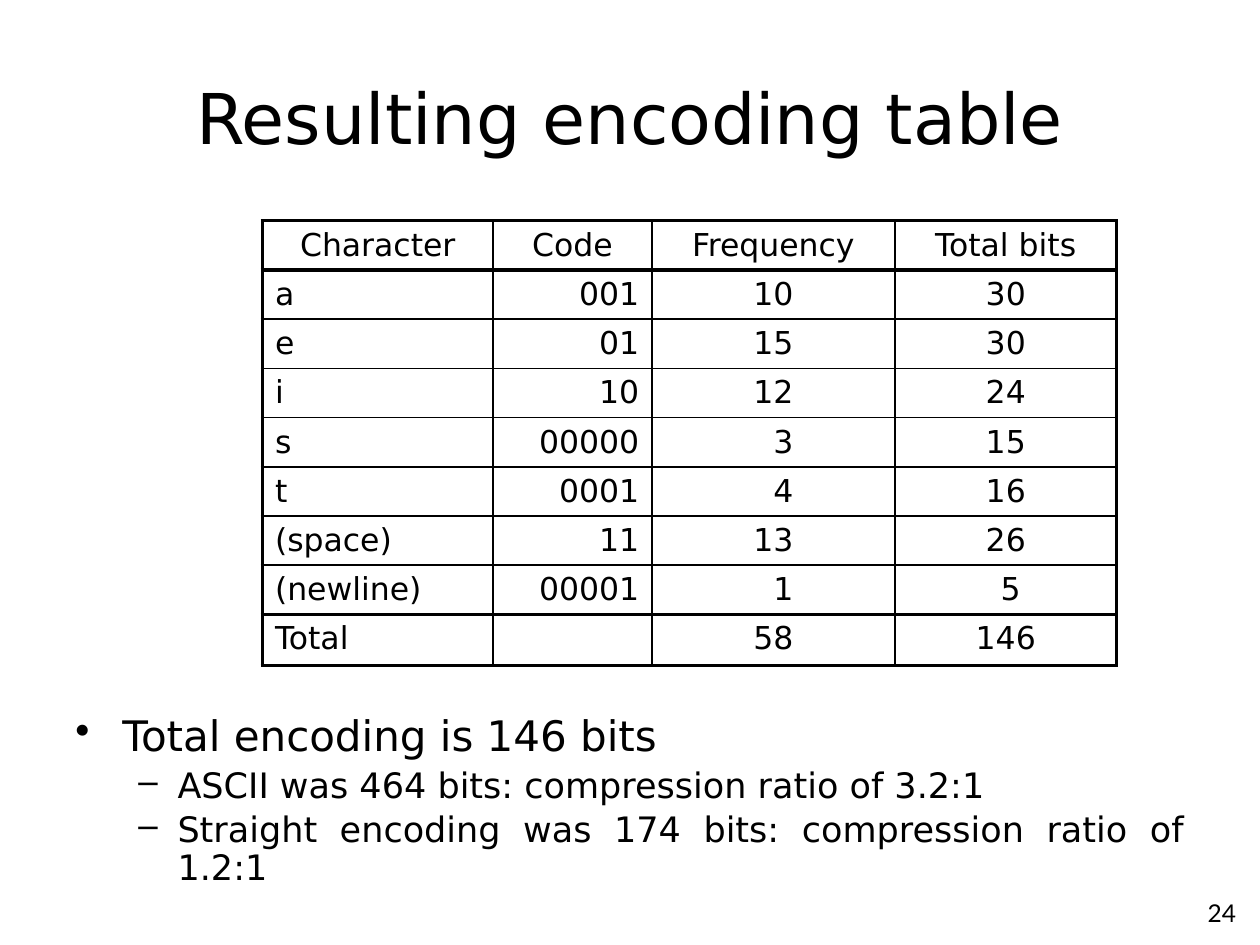
"""Build the slide showing a Huffman encoding table and its compression ratios."""
from dataclasses import dataclass

from lxml import etree
from pptx import Presentation
from pptx.dml.color import RGBColor
from pptx.enum.text import MSO_ANCHOR, PP_ALIGN
from pptx.oxml.ns import qn
from pptx.util import Cm, Pt

LEFT, CENTER, RIGHT = PP_ALIGN.LEFT, PP_ALIGN.CENTER, PP_ALIGN.RIGHT
JUSTIFY = PP_ALIGN.JUSTIFY
MIDDLE = MSO_ANCHOR.MIDDLE


@dataclass(frozen=True)
class Theme:
    ink: str = "000000"
    font: str = "DejaVu Sans"
    number_font: str = "Lato"
    title: int = 40
    point: int = 24
    subpoint: int = 20
    cell: int = 18
    page: int = 14
    thick: float = 2.25
    thin: float = 1


THEME = Theme()


def write(paragraph, text, size, align, font=THEME.font):
    paragraph.alignment = align
    run = paragraph.add_run()
    run.text = text
    run.font.size = Pt(size)
    run.font.name = font
    run.font.color.rgb = RGBColor.from_string(THEME.ink)


def add_border(cell, side, width):
    line = etree.SubElement(cell._tc.get_or_add_tcPr(), qn(f"a:ln{side}"), w=str(Pt(width)))
    fill = etree.SubElement(line, qn("a:solidFill"))
    etree.SubElement(fill, qn("a:srgbClr"), val=THEME.ink)


prs = Presentation()
prs.slide_width, prs.slide_height = Cm(25.4), Cm(19.05)
slide = prs.slides.add_slide(prs.slide_layouts[5])

title = slide.shapes.title
title.left, title.top, title.width, title.height = Cm(1.27), Cm(0.76), Cm(22.86), Cm(3.18)
title.text_frame.vertical_anchor = MIDDLE
write(title.text_frame.paragraphs[0], "Resulting encoding table", THEME.title, CENTER)

ROWS = [
    ("Character", "Code", "Frequency", "Total bits"),
    ("a", "001", "10", "30"),
    ("e", "01", "15", "30"),
    ("i", "10", "12", "24"),
    ("s", "00000", "3", "15"),
    ("t", "0001", "4", "16"),
    ("(space)", "11", "13", "26"),
    ("(newline)", "00001", "1", "5"),
    ("Total", "", "58", "146"),
]
COLUMN_WIDTHS = [4.65, 3.2, 4.9, 4.47]
COLUMN_ALIGNS = [JUSTIFY, RIGHT, CENTER, CENTER]
SINGLE_DIGIT_INDENTS = {2: 0.4, 3: 0.2}
ROW_HEIGHT = 0.99
THICK_RULES = {0, 1, len(ROWS) - 1, len(ROWS)}
THICK_EDGES = {0, len(COLUMN_WIDTHS)}

encoding = slide.shapes.add_table(
    len(ROWS), len(COLUMN_WIDTHS), Cm(5.29), Cm(4.45),
    Cm(sum(COLUMN_WIDTHS)), Cm(ROW_HEIGHT * len(ROWS))).table
encoding.first_row = encoding.horz_banding = False
for column, width in zip(encoding.columns, COLUMN_WIDTHS):
    column.width = Cm(width)

for r, values in enumerate(ROWS):
    encoding.rows[r].height = Cm(ROW_HEIGHT)
    for c, value in enumerate(values):
        cell = encoding.cell(r, c)
        for side, is_thick in (("L", c in THICK_EDGES), ("R", c + 1 in THICK_EDGES),
                               ("T", r in THICK_RULES), ("B", r + 1 in THICK_RULES)):
            add_border(cell, side, THEME.thick if is_thick else THEME.thin)
        cell.fill.background()
        entry = cell.text_frame.paragraphs[0]
        if value:
            write(entry, value, THEME.cell, COLUMN_ALIGNS[c] if r else CENTER)
        if len(value) == 1 and c in SINGLE_DIGIT_INDENTS:
            entry._p.get_or_add_pPr().set("marL", str(Cm(SINGLE_DIGIT_INDENTS[c])))

POINTS = [
    ("Total encoding is 146 bits", 0),
    ("ASCII was 464 bits: compression ratio of 3.2:1", 1),
    ("Straight encoding was 174 bits: compression ratio of 1.2:1", 1),
]
LEVELS = [(THEME.point, "•", 0.95, 0.95), (THEME.subpoint, "–", 2.06, 0.79)]

summary = slide.shapes.add_textbox(Cm(1.27), Cm(14.3), Cm(22.86), Cm(4)).text_frame
summary.word_wrap = True
for i, (text, level) in enumerate(POINTS):
    size, bullet, margin, hanging = LEVELS[level]
    point = summary.add_paragraph() if i else summary.paragraphs[0]
    write(point, text, size, JUSTIFY)
    point.level = level
    point.line_spacing = 0.9
    point.space_before = Pt(size * 0.2)
    properties = point._p.get_or_add_pPr()
    properties.set("marL", str(Cm(margin)))
    properties.set("indent", str(-Cm(hanging)))
    etree.SubElement(properties, qn("a:buChar"), char=bullet)

page = slide.shapes.add_textbox(Cm(19.89), Cm(17.98), Cm(5.28), Cm(0.94)).text_frame
page.word_wrap = True
write(page.paragraphs[0], "24", THEME.page, RIGHT, THEME.number_font)

prs.save("out.pptx")
